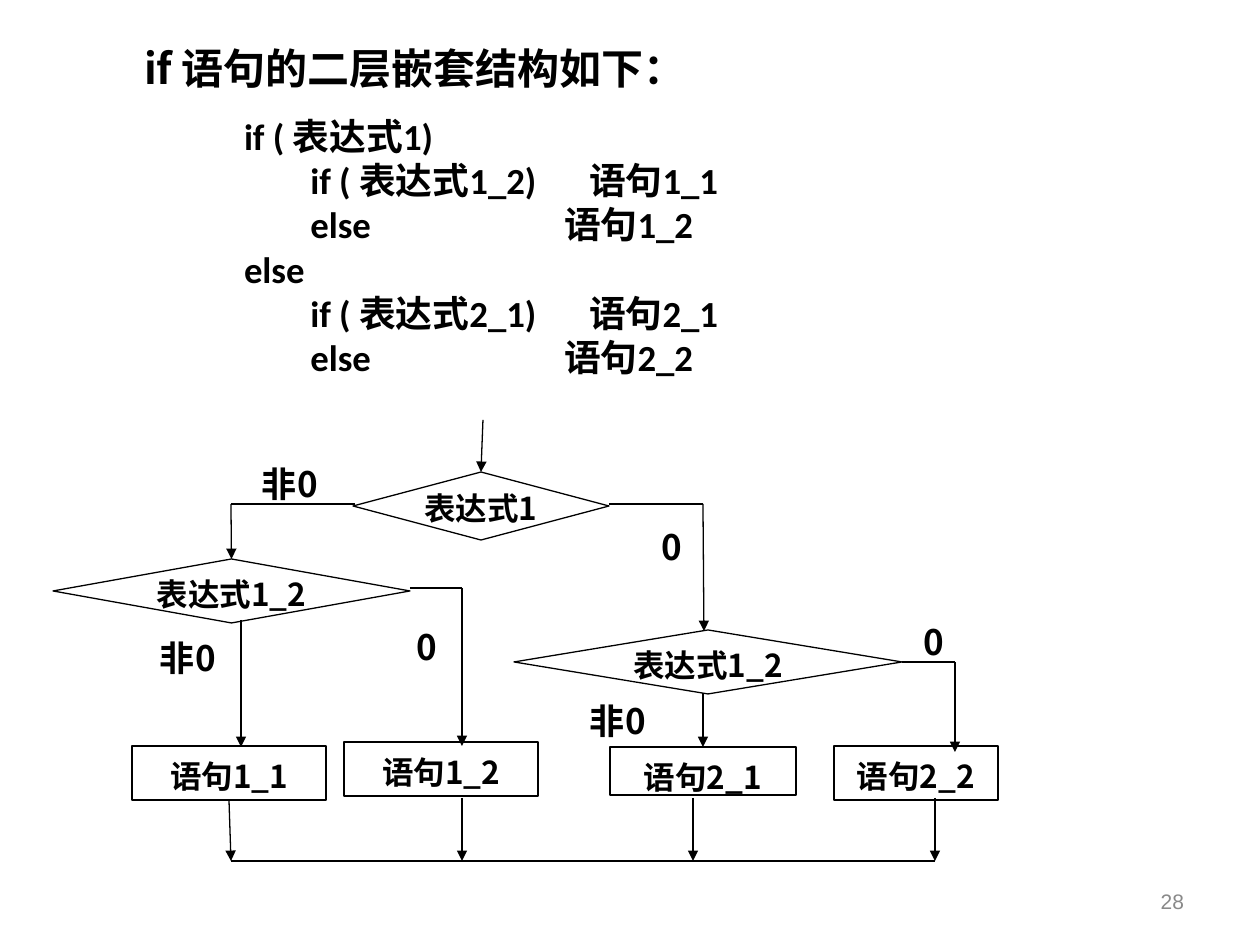
from lxml.etree import SubElement
from pptx import Presentation
from pptx.dml.color import RGBColor
from pptx.enum.shapes import MSO_CONNECTOR, MSO_SHAPE
from pptx.enum.text import MSO_ANCHOR, PP_ALIGN
from pptx.oxml.ns import qn
from pptx.util import Pt

BLACK = RGBColor(0, 0, 0)
GRAY = RGBColor(0x89, 0x89, 0x89)
HAN = "Noto Sans CJK SC"
SCALE = 914400 / 126


def emu(*vals):
    return [round(v * SCALE) for v in vals]


def write(shape, text, size, align, pad, font=HAN, color=BLACK, bold=True):
    frame = shape.text_frame
    frame.word_wrap = True
    (frame.margin_left, frame.margin_top,
     frame.margin_right, frame.margin_bottom) = emu(*pad)
    frame.text = text
    for para in frame.paragraphs:
        para.alignment = align
        for run in para.runs:
            run.font.size = Pt(size)
            run.font.bold = bold
            run.font.color.rgb = color
            run.font.name = font
            SubElement(run.font._element, qn("a:ea"), typeface=HAN)
    return frame


prs = Presentation()
prs.slide_width, prs.slide_height = emu(1260, 945)
slide = prs.slides.add_slide(prs.slide_layouts[6])
shapes = slide.shapes
PAD = (13, 6, 13, 6)

# Title
box = shapes.add_textbox(*emu(131, 26, 862, 83))
frame = write(box, "if 语句的二层嵌套结构如下：", 24, PP_ALIGN.LEFT, PAD)
frame.vertical_anchor = MSO_ANCHOR.MIDDLE

# Code, with a tab stop before each statement
code = [
    ("if ( 表达式1)", None),
    ("        if ( 表达式1_2)\t语句1_1", 345),
    ("        else\t语句1_2", 320),
    ("else", None),
    ("        if ( 表达式2_1)\t语句2_1", 345),
    ("        else\t语句2_2", 320),
]
box = shapes.add_textbox(*emu(231, 116, 788, 284))
frame = write(box, "\n".join(row[0] for row in code), 21, PP_ALIGN.LEFT,
              PAD, "Calibri")
for i, (para, (_, stop)) in enumerate(zip(frame.paragraphs, code)):
    para.line_spacing = 0.8
    para.space_before = Pt(5.2 if i else 0)
    if stop:
        tabs = SubElement(para._p.get_or_add_pPr(), qn("a:tabLst"))
        SubElement(tabs, qn("a:tab"), pos=str(emu(stop)[0]), algn="l")

# Decisions and statements
DIAMOND, RECT = MSO_SHAPE.FLOWCHART_DECISION, MSO_SHAPE.RECTANGLE
nodes = {}
for key, kind, text, *place in [
    ("left", DIAMOND, "表达式1_2", 53, 559, 357, 64),
    ("root", DIAMOND, "表达式1", 353, 472, 256, 68),
    ("right", DIAMOND, "表达式1_2", 514, 630, 388, 64),
    ("s11", RECT, "语句1_1", 132, 746, 194, 54),
    ("s12", RECT, "语句1_2", 344, 742, 194, 54),
    ("s21", RECT, "语句2_1", 610, 747, 186, 48),
    ("s22", RECT, "语句2_2", 834, 746, 164, 54),
]:
    node = shapes.add_shape(kind, *emu(*place))
    node.shadow.inherit = False
    node.fill.background()
    node.line.color.rgb = BLACK
    node.line.width = Pt(0.75)
    pad = (0, 0, 0, 0) if kind == DIAMOND else (3, 11, 3, 6)
    frame = write(node, text, 18, PP_ALIGN.CENTER, pad)
    frame.vertical_anchor = MSO_ANCHOR.TOP
    nodes[key] = node

# Branch labels
for text, *place in [
    ("非0", 262, 462, 103, 32),
    ("0", 662, 525, 18, 33),
    ("0", 924, 620, 76, 32),
    ("非0", 160, 636, 74, 32),
    ("0", 417, 625, 28, 34),
    ("非0", 590, 699, 89, 32),
]:
    box = shapes.add_textbox(*emu(*place))
    write(box, text, 20, PP_ALIGN.JUSTIFY, (0, 0, 0, 6))

# Lines: ends, arrowhead, joined start, joined end
drops = [(x, 798, x, 861, True, ("s11", 2) if x == 231 else None, None)
         for x in (231, 462, 693, 935)]
for x1, y1, x2, y2, arrow, start, end in drops + [
    (483, 420, 483, 472, True, None, ("root", 0)),
    (231, 504, 355, 504, False, None, None),
    (231, 504, 231, 561, True, None, ("left", 0)),
    (609, 504, 703, 504, False, None, None),
    (703, 504, 704, 631, True, None, None),
    (410, 588, 462, 588, False, None, None),
    (462, 588, 462, 746, True, None, None),
    (241, 620, 241, 747, True, None, None),
    (703, 693, 703, 751, True, None, ("s21", 0)),
    (903, 662, 955, 662, False, ("right", 3), None),
    (955, 662, 955, 752, True, None, None),
    (231, 861, 935, 861, False, None, None),
]:
    line = shapes.add_connector(MSO_CONNECTOR.STRAIGHT, *emu(x1, y1, x2, y2))
    line.line.color.rgb = BLACK
    line.line.width = Pt(0.75)
    if start:
        line.begin_connect(nodes[start[0]], start[1])
    if end:
        line.end_connect(nodes[end[0]], end[1])
    if arrow:
        SubElement(line.line._get_or_add_ln(), qn("a:tailEnd"), type="triangle")
    SubElement(line._element.spPr, qn("a:effectLst"))

# Page number
box = shapes.add_textbox(*emu(903, 876, 294, 50))
frame = write(box, "28", 12, PP_ALIGN.RIGHT, PAD, "Arial", GRAY, False)
frame.vertical_anchor = MSO_ANCHOR.MIDDLE

prs.save("out.pptx")
